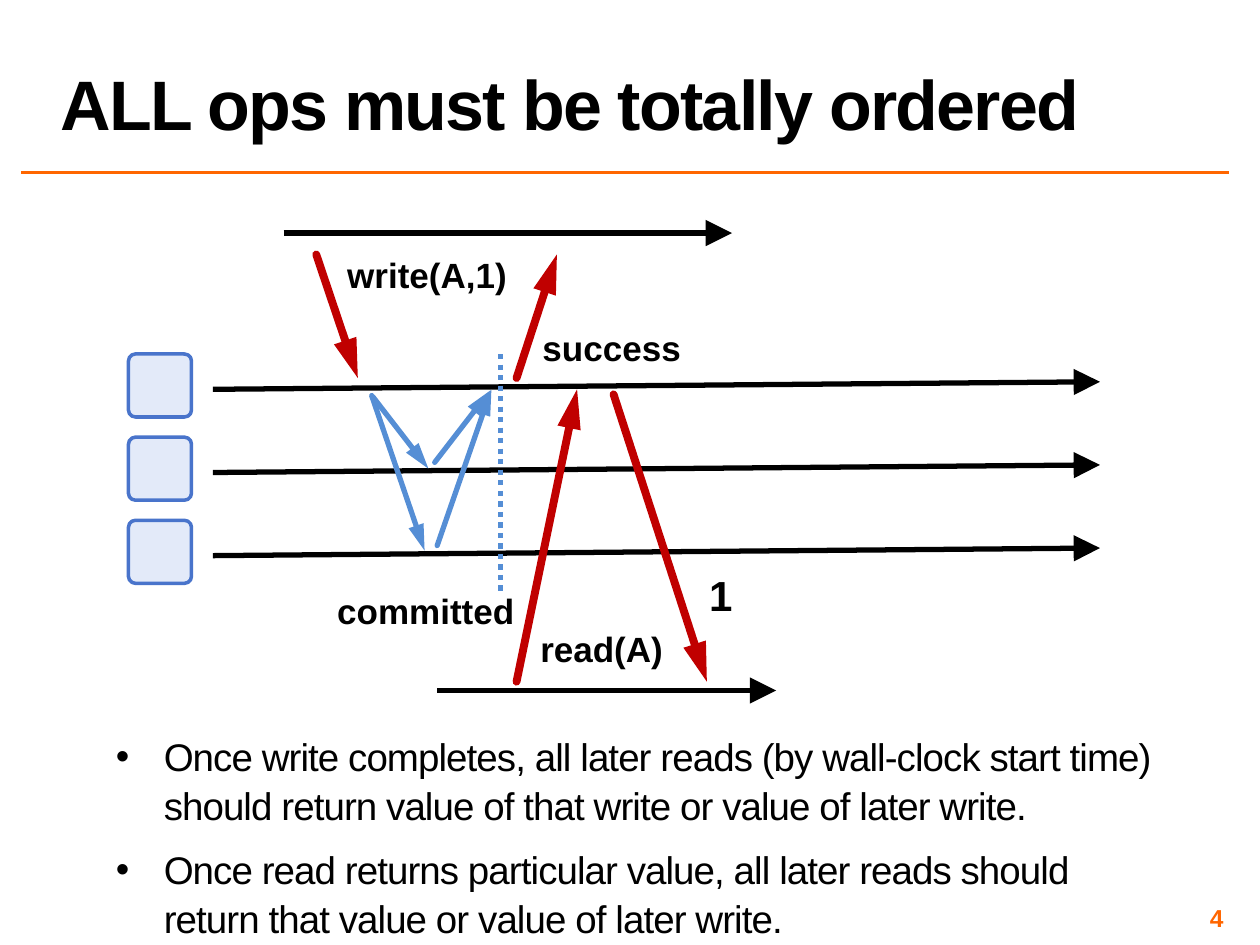
from dataclasses import dataclass

from lxml import etree
from pptx import Presentation
from pptx import util as u
from pptx.dml import color
from pptx.enum import dml, shapes, text
from pptx.oxml import ns

Inches, Pt = u.Inches, u.Pt


@dataclass(frozen=True)
class Theme:
    font: str = "Arial"
    ink: str = "000000"
    accent: str = "FF6600"
    client: str = "C00000"
    replica: str = "558ED5"
    node_fill: str = "E3EAF9"
    node_line: str = "4974CB"
    title: int = 40
    body: int = 22
    label: int = 20
    value: int = 24
    number: int = 14
    thin: float = 2
    line: float = 3
    thick: float = 4.5


T = Theme()


def rgb(value):
    return color.RGBColor.from_string(value)


def add_xml(parent, tag, **attrs):
    return etree.SubElement(parent, ns.qn(tag), attrs)


def style(p, size, ink=T.ink, bold=False, spacing=0):
    """Format a whole paragraph; spacing is the tracking in points."""
    f = p.font
    f.name, f.size, f.bold = T.font, Pt(size), bold
    f.color.rgb = rgb(ink)
    if spacing:
        p._p.pPr.find(ns.qn("a:defRPr")).set("spc", str(int(spacing * 100)))


def place(sp, x, y, w, h):
    sp.left, sp.top, sp.width, sp.height = map(Inches, (x, y, w, h))


def add_line(s, start, end, ink=T.ink, width=T.line, head=None, dash=None, cap=None):
    """Draw a line; head is the width class of the arrowhead at its end."""
    c = s.shapes.add_connector(shapes.MSO_CONNECTOR.STRAIGHT,
                               *map(Inches, (*start, *end)))
    c.line.color.rgb = rgb(ink)
    c.line.width = Pt(width)
    if dash:
        c.line.dash_style = dash
    ln = c.line._get_or_add_ln()
    if cap:
        ln.set("cap", cap)
    if head:
        add_xml(ln, "a:tailEnd", type="triangle", w=head, len="lg")
    add_xml(c._element.spPr, "a:effectLst")


def add_label(s, x, y, w, h, words, size=T.label, ink=T.ink,
              align=text.PP_ALIGN.CENTER):
    tf = s.shapes.add_textbox(*map(Inches, (x, y, w, h))).text_frame
    tf.word_wrap = True
    p = tf.paragraphs[0]
    p.text, p.alignment = words, align
    style(p, size, ink, bold=True)
    return tf


def add_title(s, x, y, w, h, words):
    sp = s.shapes.title
    place(sp, x, y, w, h)
    tf = sp.text_frame
    tf.text = words
    tf.vertical_anchor = text.MSO_ANCHOR.BOTTOM
    tf.auto_size = text.MSO_AUTO_SIZE.NONE
    p = tf.paragraphs[0]
    p.alignment, p.line_spacing = text.PP_ALIGN.LEFT, 0.8
    style(p, T.title, bold=True, spacing=-1)
    add_line(s, (0.17, y + 1.35), (9.75, y + 1.35), T.accent, T.thin)


def add_replica(s, x, y):
    """One replica: its node and its timeline."""
    add_line(s, (x + 0.67, y + 0.28), (x + 7.71, y + 0.22), head="lg")
    node = s.shapes.add_shape(shapes.MSO_SHAPE.ROUNDED_RECTANGLE,
                              *map(Inches, (x, y, 0.5, 0.5)))
    node.adjustments[0] = 0.11
    node.shadow.inherit = False
    node.fill.solid()
    node.fill.fore_color.rgb = rgb(T.node_fill)
    node.line.color.rgb = rgb(T.node_line)
    node.line.width = Pt(T.thin)


def add_timing_diagram(s, x, y):
    def arrow(start, end, **kw):
        add_line(s, (x + start[0], y + start[1]), (x + end[0], y + end[1]), **kw)

    for i in range(3):
        add_replica(s, x + 0.02, y + 1.01 + 0.66 * i)

    client_timelines = [((1.25, 0.05), (4.81, 0.05)), ((2.47, 3.68), (5.16, 3.68))]
    for start, end in client_timelines:
        arrow(start, end, head="lg")
    arrow((2.97, 1.01), (2.97, 2.91), ink=T.replica,
          dash=dml.MSO_LINE.ROUND_DOT)

    replica_messages = [((1.96, 1.35), (2.4, 1.92)), ((1.95, 1.34), (2.37, 2.57)),
                        ((2.45, 1.87), (2.89, 1.3)), ((2.47, 2.53), (2.9, 1.29))]
    for start, end in replica_messages:
        arrow(start, end, ink=T.replica, head="med", cap="rnd")

    client_messages = [((1.51, 0.22), (1.84, 1.2)), ((3.1, 1.2), (3.42, 0.22)),
                       ((3.1, 3.61), (3.58, 1.29)), ((3.87, 1.33), (4.61, 3.61))]
    for start, end in client_messages:
        arrow(start, end, ink=T.client, width=T.thick, head="med", cap="rnd")

    labels = [("write(A,1)", 1.51, 0.16, 1.76), ("success", 3.1, 0.74, 1.51),
              ("committed", 1.51, 2.83, 1.74), ("read(A)", 3.13, 3.13, 1.29)]
    for words, left, top, width in labels:
        add_label(s, x + left, y + top, width, 0.44, words)
    add_label(s, x + 4.38, y + 2.67, 0.68, 0.5, "1", T.value)


def add_bullets(s, x, y, w, h, items):
    sp = s.placeholders[1]
    place(sp, x, y, w, h)
    tf = sp.text_frame
    tf.auto_size = text.MSO_AUTO_SIZE.NONE
    tf.margin_left = tf.margin_right = tf.margin_top = tf.margin_bottom = Inches(0.04)
    for i, item in enumerate(items):
        p = tf.add_paragraph() if i else tf.paragraphs[0]
        p.text = item
        pPr = p._p.get_or_add_pPr()
        pPr.set("marL", str(Inches(0.38)))
        pPr.set("indent", str(Inches(-0.38)))
        add_xml(pPr, "a:buFont", typeface=T.font)
        add_xml(pPr, "a:buChar", char="•")
        p.line_spacing = 1.07
        p.space_before, p.space_after = Pt(7 if i else 0), Pt(1)
        style(p, T.body, spacing=-0.5)


def add_slide_number(s, x, y, w, h, number):
    tf = add_label(s, x, y, w, h, number, T.number, T.accent, text.PP_ALIGN.RIGHT)
    tf.vertical_anchor = text.MSO_ANCHOR.MIDDLE
    tf.margin_left = tf.margin_right = tf.margin_top = tf.margin_bottom = Inches(0.04)


def main():
    prs = Presentation()
    prs.slide_width, prs.slide_height = Inches(10), Inches(7.5)
    s = prs.slides.add_slide(prs.slide_layouts[1])
    add_title(s, 0.38, 0.02, 9.62, 1.17, "ALL ops must be totally ordered")
    add_timing_diagram(s, 1, 1.8)
    add_bullets(s, 0.88, 5.75, 8.41, 1.91, [
        "Once write completes, all later reads (by wall-clock start time) "
        "should return value of that write or value of later write.",
        "Once read returns particular value, all later reads should "
        "return that value or value of later write.",
    ])
    add_slide_number(s, 7.42, 7.17, 2.33, 0.23, "4")
    prs.save("out.pptx")


if __name__ == "__main__":
    main()
